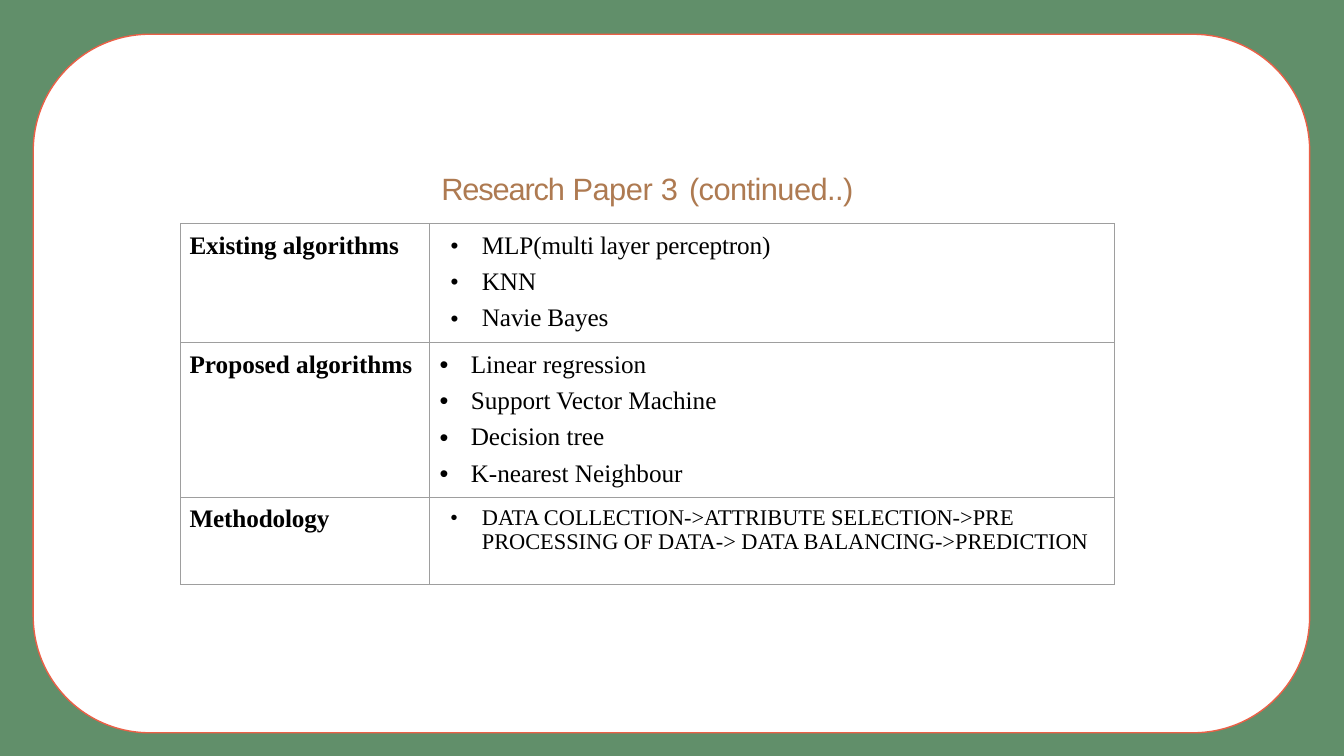
from lxml import etree
from pptx import Presentation
from pptx.dml.color import RGBColor
from pptx.enum.shapes import MSO_SHAPE
from pptx.enum.text import MSO_ANCHOR, PP_ALIGN
from pptx.oxml.ns import qn
from pptx.util import Inches, Pt

ROUNDED = MSO_SHAPE.ROUNDED_RECTANGLE
BOTTOM = MSO_ANCHOR.BOTTOM
CENTER = PP_ALIGN.CENTER


def color(hex_string):
    return RGBColor.from_string(hex_string)


class PaperSlide:
    green, white, orange = "618F6A", "FFFFFF", "EB6047"
    brown, black, gray = "AE7A51", "000000", "9E9E9E"
    title_font, body_font = "Arial", "Times New Roman"

    def __init__(self, deck):
        self.slide = deck.slides.add_slide(deck.slide_layouts[6])
        background = self.slide.background.fill
        background.solid()
        background.fore_color.rgb = color(self.green)

    def panel(self, left, top, width, height):
        panel = self.slide.shapes.add_shape(
            ROUNDED, Inches(left), Inches(top), Inches(width), Inches(height))
        panel.shadow.inherit = False
        panel.fill.solid()
        panel.fill.fore_color.rgb = color(self.white)
        panel.line.color.rgb = color(self.orange)
        panel.line.width = Pt(1)

    def run(self, paragraph, text, font, size, ink, bold=False, spacing=0):
        run = paragraph.add_run()
        run.text = text
        run.font.name = font
        run.font.size = Pt(size)
        run.font.bold = bold
        run.font.color.rgb = color(ink)
        run.font._element.set("spc", str(round(spacing * 100)))

    def indent(self, paragraph, left, hanging=0.0, bullet_size=None):
        properties = paragraph._p.get_or_add_pPr()
        properties.set("marL", str(Inches(left)))
        properties.set("indent", str(-Inches(hanging)))
        if bullet_size:
            size = etree.SubElement(properties, qn("a:buSzPct"))
            size.set("val", str(bullet_size * 1000))
            etree.SubElement(properties, qn("a:buFont")).set("typeface", "Arial")
            etree.SubElement(properties, qn("a:buChar")).set("char", "•")

    def title(self, left, top, width, height, pieces):
        box = self.slide.shapes.add_textbox(
            Inches(left), Inches(top), Inches(width), Inches(height))
        frame = box.text_frame
        frame.word_wrap = True
        frame.vertical_anchor = BOTTOM
        frame.margin_left = frame.margin_right = frame.margin_bottom = 0
        frame.margin_top = Inches(0.01)
        heading = frame.paragraphs[0]
        heading.alignment = CENTER
        heading.space_before = Pt(1)
        self.indent(heading, 0.01)
        for text, spacing in pieces:
            self.run(heading, text, self.title_font, 22, self.brown, spacing=spacing)

    def cell(self, cell):
        cell.margin_left = cell.margin_right = cell.margin_bottom = 0
        cell.margin_top = Inches(0.08)
        cell.fill.solid()
        cell.fill.fore_color.rgb = color(self.white)
        properties = cell._tc.get_or_add_tcPr()
        for position, side in enumerate(("lnL", "lnR", "lnT", "lnB")):
            border = etree.Element(qn(f"a:{side}"), w=str(Pt(0.75)))
            fill = etree.SubElement(border, qn("a:solidFill"))
            etree.SubElement(fill, qn("a:srgbClr")).set("val", self.gray)
            properties.insert(position, border)

    def table(self, left, top, widths, rows):
        heights = [row[0] for row in rows]
        table = self.slide.shapes.add_table(
            len(rows), len(widths), Inches(left), Inches(top),
            Inches(sum(widths)), Inches(sum(heights))).table
        for column, width in zip(table.columns, widths):
            column.width = Inches(width)
        for index, (height, label, items, left_indent, size, bullet_size) in enumerate(rows):
            table.rows[index].height = Inches(height)
            label_cell, items_cell = table.cell(index, 0), table.cell(index, 1)
            self.cell(label_cell)
            self.cell(items_cell)

            # Row label
            heading = label_cell.text_frame.paragraphs[0]
            heading.space_before = Pt(6)
            self.indent(heading, 0.09)
            for text, spacing in label:
                self.run(heading, text, self.body_font, 18, self.black, True, spacing)

            # Bulleted items
            frame = items_cell.text_frame
            for number, text in enumerate(items):
                item = frame.add_paragraph() if number else frame.paragraphs[0]
                item.space_before = Pt(6)
                self.indent(item, left_indent, 0.31, bullet_size)
                self.run(item, text, self.body_font, size, self.black, spacing=-0.1 if size == 18 and bullet_size < 100 else 0)


def main():
    deck = Presentation()
    deck.slide_width, deck.slide_height = Inches(13.33), Inches(7.5)
    paper = PaperSlide(deck)

    # White panel and title
    paper.panel(0.33, 0.34, 12.66, 6.93)
    paper.title(4.24, 1.66, 4.35, 0.39, [
        ("Research ", -0.8), ("Paper ", -0.3), ("3 ", 0.9), ("(continued..)", -0.4)])

    # Rows: height, label runs, items, item indent, item size, bullet percent
    paper.table(1.79, 2.22, [2.47, 6.79], [
        (1.18, [("Existing ", -0.1), ("algorithms", 0)],
         ["MLP(multi layer perceptron)", "KNN", "Navie Bayes"], 0.52, 18, 89),
        (1.53, [("Proposed ", 0), ("algorithms", 0)],
         ["Linear regression", "Support Vector Machine", "Decision tree",
          "K-nearest Neighbour"], 0.41, 18, 100),
        (0.87, [("Methodology", -0.1)],
         ["DATA COLLECTION->ATTRIBUTE SELECTION->PRE PROCESSING OF DATA-> "
          "DATA BALANCING->PREDICTION"], 0.52, 16, 89),
    ])
    deck.save("out.pptx")


if __name__ == "__main__":
    main()
